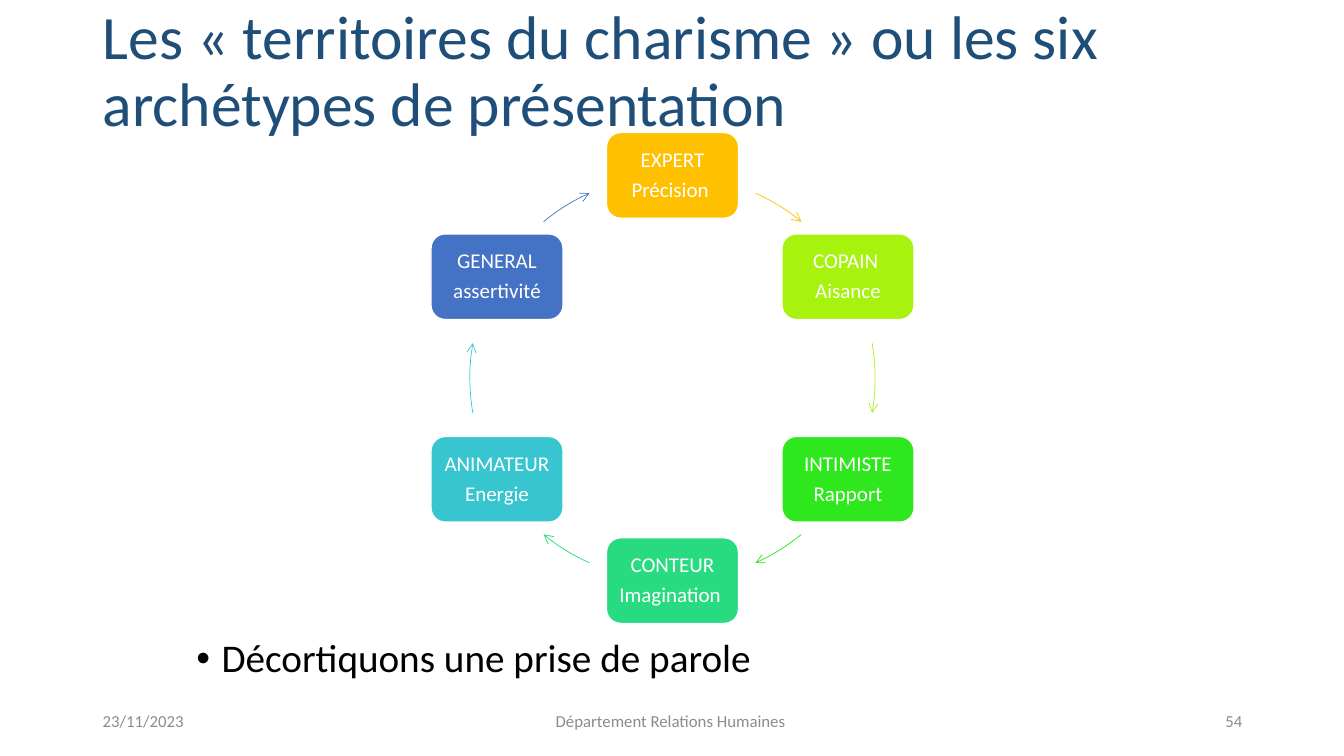
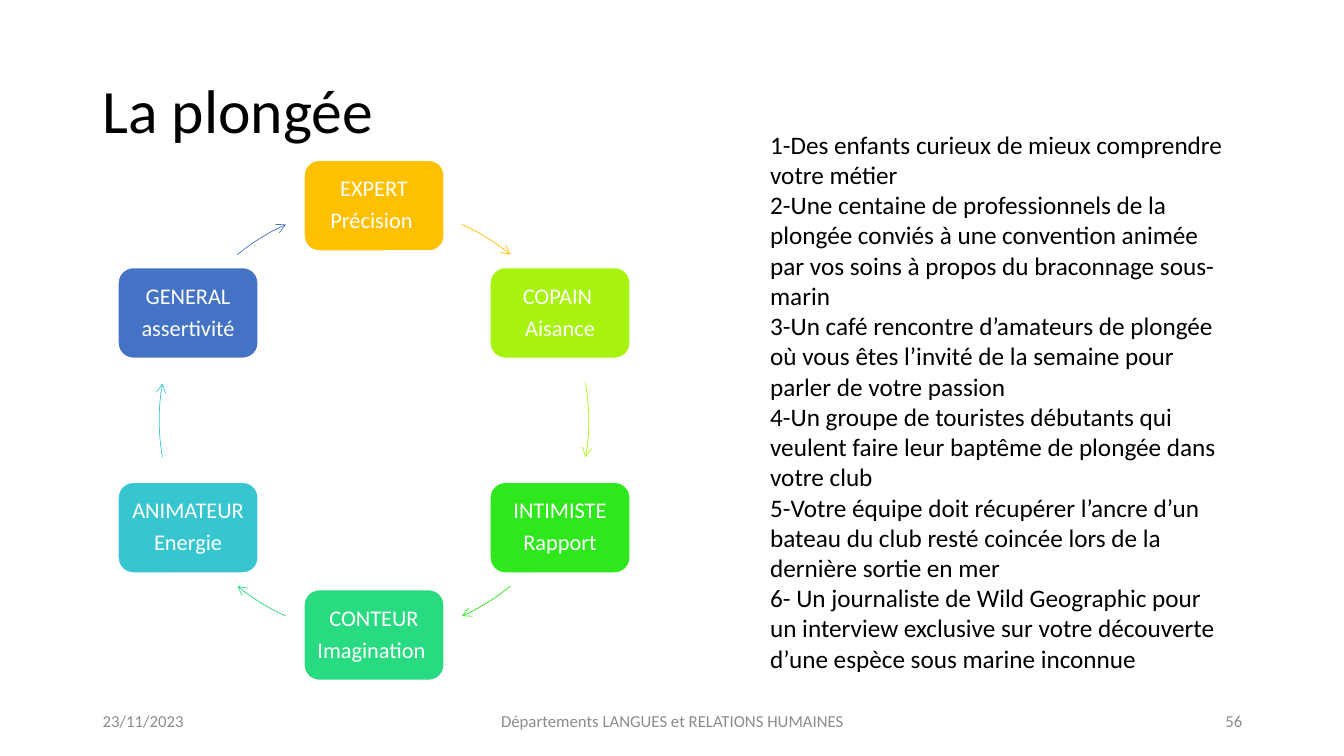
from math import cos, radians, sin

from lxml.etree import SubElement
from pptx import Presentation
from pptx.dml.color import RGBColor
from pptx.enum.shapes import MSO_SHAPE as Shape
from pptx.enum.text import MSO_ANCHOR as Anchor, PP_ALIGN as Align
from pptx.oxml.ns import qn
from pptx.util import Inches, Pt

# Shared style
FONT = "Calibri"
BLACK, WHITE, NAVY, GREY = "000000", "FFFFFF", "1F4E79", "8C8C8C"
DATE = "23/11/2023"

# Content
ARCHETYPES = [
    ("EXPERT", "Précision ", "FFC000"),
    ("COPAIN ", "Aisance", "A7F30E"),
    ("INTIMISTE", "Rapport", "2EE71C"),
    ("CONTEUR", "Imagination ", "29DB80"),
    ("ANIMATEUR", "Energie", "37C6CF"),
    ("GENERAL", "assertivité", "4472C4"),
]
# Start and end of the arrows on half a turn, in degrees clockwise from the top
HALF_TURN_ARCS = [(24.2, 39.5), (80.1, 99.9), (140.5, 155.8)]

SCENARIOS = [
    "1-Des enfants curieux de mieux comprendre votre métier",
    "2-Une centaine de professionnels de la plongée conviés à une convention "
    "animée par vos soins à propos du braconnage sous-marin",
    "3-Un café rencontre d’amateurs de plongée où vous êtes l’invité de la "
    "semaine pour parler de votre passion",
    "4-Un groupe de touristes débutants qui veulent faire leur baptême de "
    "plongée dans votre club",
    "5-Votre équipe doit récupérer l’ancre d’un bateau du club resté coincée "
    "lors de la dernière sortie en mer",
    "6- Un journaliste de Wild Geographic pour un interview exclusive sur "
    "votre découverte d’une espèce sous marine inconnue",
]

SLIDES = [
    {
        "title": "Les « territoires du charisme » ou les six archétypes de présentation",
        "title_top": 0, "title_color": NAVY,
        "footer": "Département Relations Humaines ", "number": "54",
        "cycle": {"center": (6.67, 3.75), "radius": 2.01, "node": (1.31, 0.85),
                  "size": 15, "inset": 0.06},
        "body": {"lines": ["Décortiquons une prise de parole"],
                 "at": (1.85, 6.29, 9.3, 0.55), "size": 28,
                 "spacing": 0.9, "bullet": True},
    },
    {
        "title": "La plongée",
        "title_top": 0.4, "title_color": BLACK,
        "footer": "Départements LANGUES et RELATIONS HUMAINES", "number": "56",
        "cycle": {"center": (3.71, 4.17), "radius": 2.13, "node": (1.39, 0.9),
                  "size": 16, "inset": 0.07},
        "body": {"lines": SCENARIOS, "at": (7.54, 1.23, 4.76, 5.55), "size": 18},
    },
]


def rgb(value):
    return RGBColor.from_string(value)


def add_bullet(para, indent=0.25):
    props = para._p.get_or_add_pPr()
    props.set("marL", str(Inches(indent)))
    props.set("indent", str(-Inches(indent)))
    SubElement(props, qn("a:buFont")).set("typeface", "Arial")
    SubElement(props, qn("a:buChar")).set("char", "•")


def write(box, lines, size, color=BLACK, align=Align.LEFT, anchor=Anchor.TOP,
          spacing=None, gap=0, bullet=False, inset=None):
    frame = box.text_frame
    frame.word_wrap = True
    frame.vertical_anchor = anchor
    if inset is not None:
        frame.margin_left = frame.margin_right = Inches(inset)
        frame.margin_top = frame.margin_bottom = Inches(inset)
    for index, line in enumerate(lines):
        para = frame.add_paragraph() if index else frame.paragraphs[0]
        if bullet:
            add_bullet(para)
        para.alignment = align
        if spacing:
            para.line_spacing = spacing
        if index and gap:
            para.space_before = Pt(gap)
        span = para.add_run()
        span.text = line
        span.font.name, span.font.size = FONT, Pt(size)
        span.font.color.rgb = rgb(color)


def add_text(page, lines, at, **style):
    write(page.shapes.add_textbox(*map(Inches, at)), lines, **style)


def add_frame(page, title, title_top, title_color, footer, number):
    """Title and footer line."""
    add_text(page, [title], (0.92, title_top, 11.5, 1.45), size=44,
             color=title_color, anchor=Anchor.MIDDLE, spacing=0.9)
    footers = [(DATE, 0.92, 3, Align.LEFT), (footer, 4.42, 4.5, Align.CENTER),
               (number, 9.42, 3, Align.RIGHT)]
    for text, left, width, align in footers:
        add_text(page, [text], (left, 6.95, width, 0.4), size=12, color=GREY,
                 align=align, anchor=Anchor.MIDDLE)


def add_arc_arrow(shapes, center, radius, start, end, color):
    x, y = center
    arc = shapes.add_shape(Shape.ARC, Inches(x - radius), Inches(y - radius),
                           Inches(2 * radius), Inches(2 * radius))
    # Preset angles count from three o'clock, in units of 0.6 per degree
    for index, angle in enumerate((start, end)):
        arc.adjustments[index] = (angle - 90) % 360 * 0.6
    arc.shadow.inherit = False
    arc.fill.background()
    arc.line.color.rgb = rgb(color)
    arc.line.width = Pt(0.5)
    outline = arc.element.spPr.find(qn("a:ln"))
    SubElement(outline, qn("a:tailEnd")).set("type", "arrow")


def add_cycle(page, center, radius, node, size, inset):
    """Six archetypes spread evenly on a circle, with an arrow after each."""
    shapes = page.shapes.add_group_shape().shapes
    step = 360 / len(ARCHETYPES)
    arcs = HALF_TURN_ARCS + [(a + 180, b + 180) for a, b in HALF_TURN_ARCS]
    width, height = node
    for index, (name, quality, color) in enumerate(ARCHETYPES):
        turn = radians(index * step)
        left = center[0] + radius * sin(turn) - width / 2
        top = center[1] - radius * cos(turn) - height / 2
        box = shapes.add_shape(Shape.ROUNDED_RECTANGLE, Inches(left), Inches(top),
                               Inches(width), Inches(height))
        box.shadow.inherit = False
        box.fill.solid()
        box.fill.fore_color.rgb = rgb(color)
        box.line.color.rgb = rgb(WHITE)
        box.line.width = Pt(1)
        write(box, [name, quality], size, WHITE, Align.CENTER, Anchor.MIDDLE,
              spacing=0.9, gap=0.35 * size, inset=inset)
        add_arc_arrow(shapes, center, radius, *arcs[index], color)


def main():
    deck = Presentation()
    deck.slide_width, deck.slide_height = Inches(13.33), Inches(7.5)
    for content in SLIDES:
        page = deck.slides.add_slide(deck.slide_layouts[6])
        add_frame(page, content["title"], content["title_top"],
                  content["title_color"], content["footer"], content["number"])
        add_cycle(page, **content["cycle"])
        add_text(page, **content["body"])
    deck.save("out.pptx")


if __name__ == "__main__":
    main()
